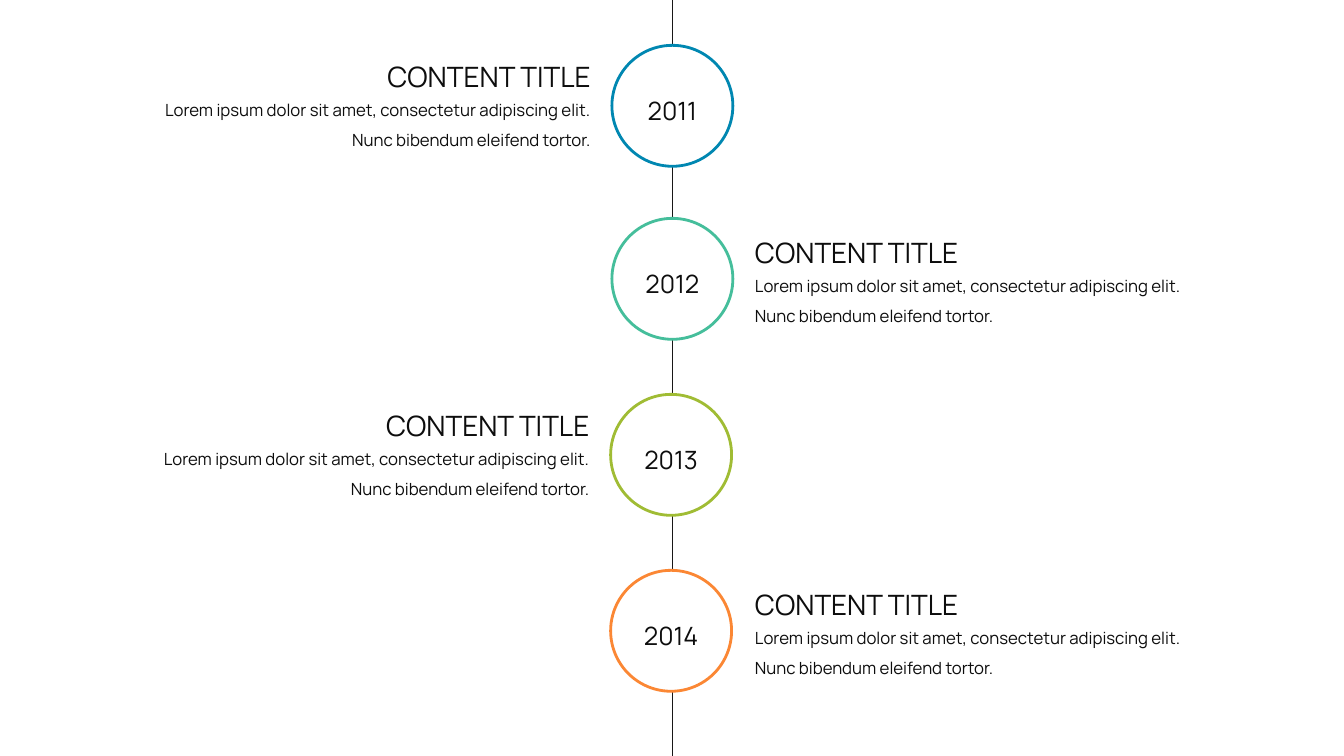
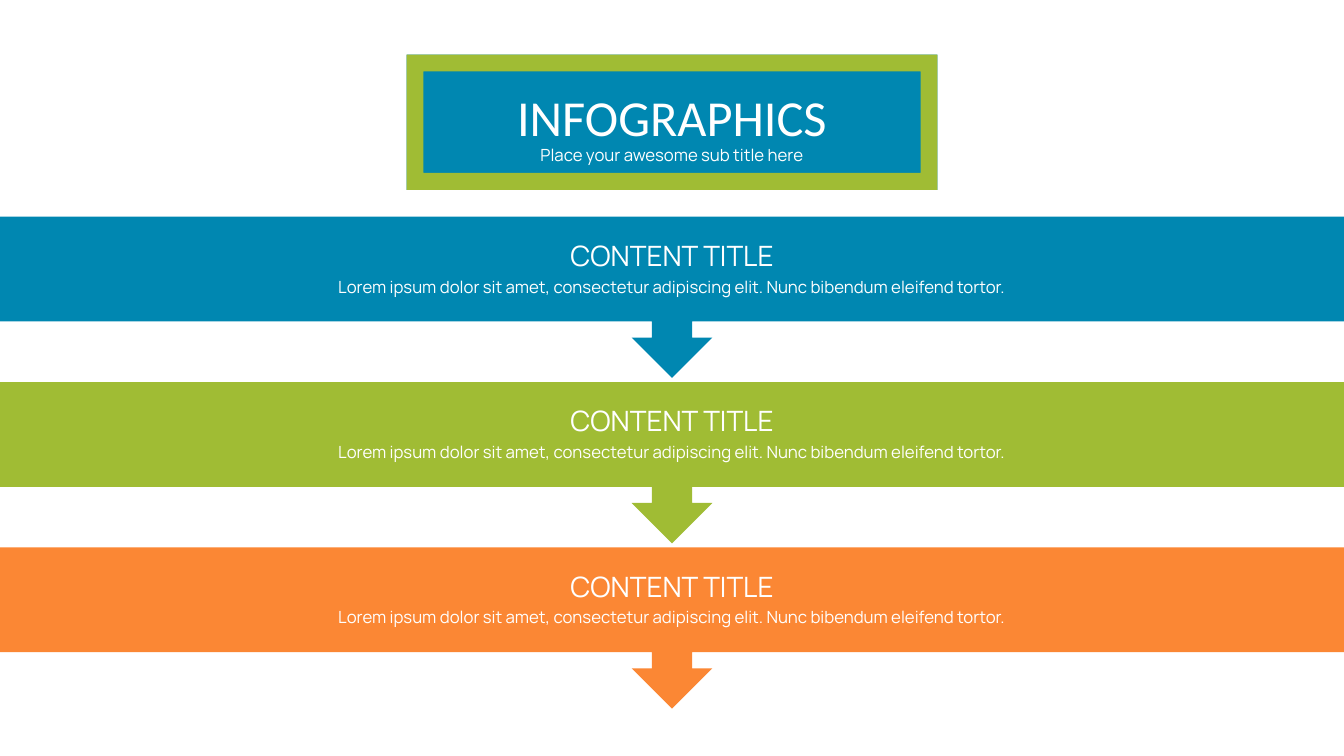
from lxml.etree import SubElement
from pptx import Presentation
from pptx.dml.color import RGBColor
from pptx.enum.shapes import MSO_CONNECTOR, MSO_SHAPE
from pptx.enum.text import MSO_ANCHOR, MSO_AUTO_SIZE, PP_ALIGN
from pptx.oxml.ns import qn
from pptx.util import Inches, Pt

BLUE = RGBColor(0x00, 0x87, 0xB1)
TEAL = RGBColor(0x45, 0xBE, 0x9B)
GREEN = RGBColor(0xA0, 0xBC, 0x34)
ORANGE = RGBColor(0xFB, 0x87, 0x34)
INK = RGBColor(0x0D, 0x0D, 0x0D)
LINE = RGBColor(0x18, 0x17, 0x17)
WHITE = RGBColor(0xFF, 0xFF, 0xFF)

COLUMNS, ROWS = 160, 90
CENTER = COLUMNS / 2
TITLE_ONLY, BLANK = 5, 6
HEADING = "CONTENT TITLE"
BODY = "Lorem ipsum dolor sit amet, consectetur adipiscing elit. Nunc bibendum eleifend tortor."


class Deck:
    font = "Manrope"
    title_font = "Calibri"
    heading_size, body_size, year_size, title_size = 20, 12, 18, 36
    line_spacing = 1.5

    def __init__(self):
        self.presentation = Presentation()
        self.presentation.slide_width = Inches(40 / 3)
        self.presentation.slide_height = Inches(7.5)
        self.slide = None

    def add_slide(self, layout):
        self.slide = self.presentation.slides.add_slide(self.presentation.slide_layouts[layout])

    def box(self, left, top, width, height):
        column = self.presentation.slide_width / COLUMNS
        row = self.presentation.slide_height / ROWS
        return int(left * column), int(top * row), int(width * column), int(height * row)

    def centered(self, top, width, height):
        return CENTER - width / 2, top, width, height

    def shape(self, kind, area, fill, outline=None):
        shape = self.slide.shapes.add_shape(kind, *self.box(*area))
        shape.shadow.inherit = False
        shape.fill.solid()
        shape.fill.fore_color.rgb = fill
        if outline is None:
            shape.line.fill.background()
        else:
            shape.line.color.rgb = outline
            shape.line.width = Pt(2)

    def line(self, start_column, start_row, end_column, end_row):
        start_x, start_y, end_x, end_y = self.box(start_column, start_row, end_column, end_row)
        connector = self.slide.shapes.add_connector(
            MSO_CONNECTOR.STRAIGHT, start_x, start_y, end_x, end_y)
        connector.line.color.rgb = LINE
        connector.line.width = Pt(0.5)
        SubElement(connector.element.spPr, qn("a:effectLst"))

    def set_text(self, shape, text, size, color, alignment, font):
        frame = shape.text_frame
        frame.word_wrap = True
        frame.vertical_anchor = MSO_ANCHOR.TOP
        paragraph = frame.paragraphs[0]
        paragraph.alignment = alignment
        paragraph.line_spacing = self.line_spacing
        run = paragraph.add_run()
        run.text = text
        run.font.name = font
        run.font.size = Pt(size)
        run.font.color.rgb = color

    def text(self, area, text, size, color=INK, alignment=PP_ALIGN.CENTER):
        shape = self.slide.shapes.add_textbox(*self.box(*area))
        self.set_text(shape, text, size, color, alignment, self.font)
        shape.text_frame.auto_size = MSO_AUTO_SIZE.SHAPE_TO_FIT_TEXT

    def title(self, area, text):
        shape = self.slide.shapes.title
        shape.left, shape.top, shape.width, shape.height = self.box(*area)
        self.set_text(shape, text, self.title_size, WHITE, PP_ALIGN.CENTER, self.title_font)
        shape.text_frame.auto_size = MSO_AUTO_SIZE.NONE
        shape.element.getparent().append(shape.element)

    def event(self, year, color, left, top, on_left):
        diameter, text_width = 14.4, 56.5
        self.shape(MSO_SHAPE.OVAL, (left, top, diameter, diameter), WHITE, color)
        self.text((left, top + 3.6, diameter, 6.7), year, self.year_size)
        if on_left:
            text_left, heading_top, alignment = left - 57.85, top - 0.95, PP_ALIGN.RIGHT
        else:
            text_left, heading_top, alignment = 88.7, top - 0.6, PP_ALIGN.LEFT
        self.text((text_left, heading_top, text_width, 6.6), HEADING,
                  self.heading_size, alignment=alignment)
        self.text((text_left, heading_top + 5.65, text_width, 8), BODY,
                  self.body_size, alignment=alignment)

    def step(self, color, top):
        self.shape(MSO_SHAPE.DOWN_ARROW_CALLOUT, (0, top, COLUMNS, 19.2), color)
        self.text(self.centered(top, 56.5, 6.6), HEADING, self.heading_size, WHITE)
        self.text(self.centered(top + 5.3, 90.5, 4.4), BODY, self.body_size, WHITE)

    def banner(self, title, subtitle):
        area = self.centered(6.5, 63.2, 16.1)
        self.shape(MSO_SHAPE.RECTANGLE, area, BLUE)
        self.shape(MSO_SHAPE.FRAME, area, GREEN)
        self.text(self.centered(15.4, 63.2, 4.8), subtitle, self.body_size, WHITE)
        self.title(self.centered(6.1, 63.2, 12.1), title)


def build_timeline(deck):
    deck.add_slide(BLANK)
    deck.line(CENTER, 0, CENTER, ROWS)
    events = (
        ("2011", BLUE, 72.85, 5.4),
        ("2012", TEAL, 72.85, 26),
        ("2013", GREEN, 72.7, 46.95),
        ("2014", ORANGE, 72.7, 67.9),
    )
    for index, (year, color, left, top) in enumerate(events):
        deck.event(year, color, left, top, on_left=index % 2 == 0)


def build_steps(deck):
    deck.add_slide(TITLE_ONLY)
    for index, color in enumerate((BLUE, GREEN, ORANGE)):
        deck.step(color, 25.8 + index * 19.68)
    deck.banner("INFOGRAPHICS", "Place your awesome sub title here")


def main():
    deck = Deck()
    build_timeline(deck)
    build_steps(deck)
    deck.presentation.save("out.pptx")


if __name__ == "__main__":
    main()
